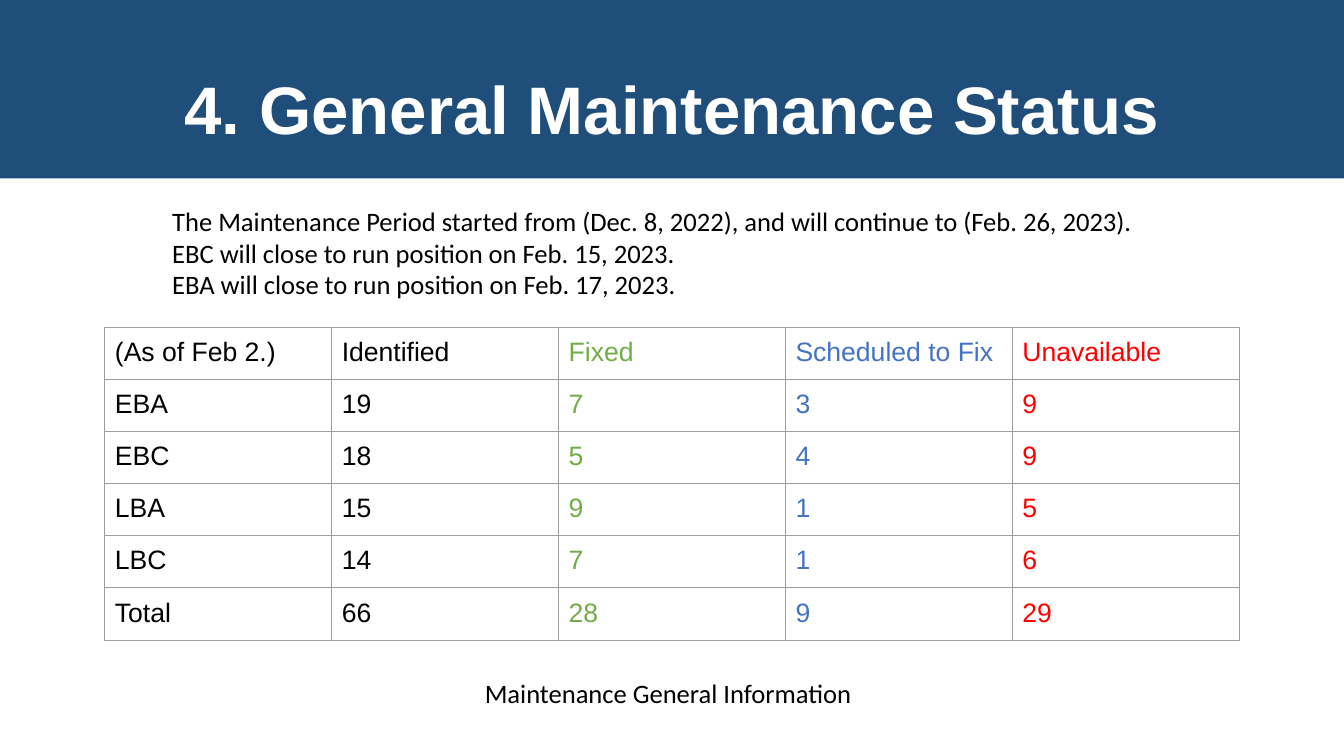
"""Build the general maintenance status slide."""
from lxml.etree import SubElement
from pptx import Presentation
from pptx.dml.color import RGBColor
from pptx.enum.shapes import MSO_SHAPE
from pptx.enum.text import MSO_ANCHOR, PP_ALIGN
from pptx.oxml.ns import qn
from pptx.util import Inches, Pt

COLORS = {
    "banner": "1E4E79", "white": "FFFFFF", "black": "000000", "border": "9E9E9E",
    "green": "70AD47", "blue": "4472C4", "red": "FF0000",
}
TITLE = "4. General Maintenance Status"
SCHEDULE = [
    "The Maintenance Period started from (Dec. 8, 2022), and will continue to (Feb. 26, 2023).",
    "EBC will close to run position on Feb. 15, 2023.",
    "EBA will close to run position on Feb. 17, 2023.",
]
FOOTER = ["Maintenance General Information"]
STATUS = [
    ("(As of Feb 2.)", "Identified", "Fixed", "Scheduled to Fix", "Unavailable"),
    ("EBA", "19", "7", "3", "9"),
    ("EBC", "18", "5", "4", "9"),
    ("LBA", "15", "9", "1", "5"),
    ("LBC", "14", "7", "1", "6"),
    ("Total", "66", "28", "9", "29"),
]
COLUMN_COLORS = ("black", "black", "green", "blue", "red")

WIDTH, HEIGHT = 13.33, 7.5
BANNER_AREA = (0, -0.05, WIDTH, 1.82)
SCHEDULE_AREA = (1.61, 1.93, 10.11, 1.16)
TABLE_AREA = (1.04, 3.25, 11.25, 3.1)
FOOTER_AREA = (4.71, 6.62, 3.92, 0.52)
BODY_SIZE = 19


def inches(area):
    return [Inches(length) for length in area]


def format_text(frame, font_name, size, color, bold=False):
    for para in frame.paragraphs:
        for span in para.runs:
            span.font.name = font_name
            span.font.size = Pt(size)
            span.font.bold = bold
            span.font.color.rgb = RGBColor.from_string(COLORS[color])


def set_margins(target, margin):
    target.margin_left = target.margin_right = Inches(margin)
    target.margin_top = target.margin_bottom = Inches(margin)


def add_banner(page):
    banner = page.shapes.add_shape(MSO_SHAPE.RECTANGLE, *inches(BANNER_AREA))
    banner.shadow.inherit = False
    banner.fill.solid()
    banner.fill.fore_color.rgb = RGBColor.from_string(COLORS["banner"])
    banner.line.fill.background()
    frame = banner.text_frame
    frame.text = TITLE
    frame.word_wrap = True
    frame.vertical_anchor = MSO_ANCHOR.TOP
    frame.margin_top = Inches(0.72)
    frame.paragraphs[0].alignment = PP_ALIGN.CENTER
    format_text(frame, "Arial", 48, "white", bold=True)


def add_lines(page, area, lines):
    frame = page.shapes.add_textbox(*inches(area)).text_frame
    frame.text = "\n".join(lines)
    frame.word_wrap = True
    set_margins(frame, 0.1)
    format_text(frame, "Calibri", BODY_SIZE, "black")


def add_borders(cell):
    properties = cell._tc.get_or_add_tcPr()
    for position, side in enumerate(("a:lnL", "a:lnR", "a:lnT", "a:lnB")):
        line = SubElement(properties, qn(side), w=str(Pt(0.75)))
        fill = SubElement(line, qn("a:solidFill"))
        SubElement(fill, qn("a:srgbClr"), val=COLORS["border"])
        properties.insert(position, line)


def add_status_table(page):
    table = page.shapes.add_table(len(STATUS), len(STATUS[0]), *inches(TABLE_AREA)).table
    table.first_row = table.horz_banding = False
    for row_index, values in enumerate(STATUS):
        for column_index, value in enumerate(values):
            cell = table.cell(row_index, column_index)
            cell.text = value
            cell.fill.background()
            set_margins(cell, 0.1)
            add_borders(cell)
            format_text(cell.text_frame, "Arial", BODY_SIZE, COLUMN_COLORS[column_index])


def main():
    deck = Presentation()
    deck.slide_width, deck.slide_height = Inches(WIDTH), Inches(HEIGHT)
    page = deck.slides.add_slide(deck.slide_layouts[6])
    add_banner(page)
    add_status_table(page)
    add_lines(page, FOOTER_AREA, FOOTER)
    add_lines(page, SCHEDULE_AREA, SCHEDULE)
    deck.save("out.pptx")


if __name__ == "__main__":
    main()
